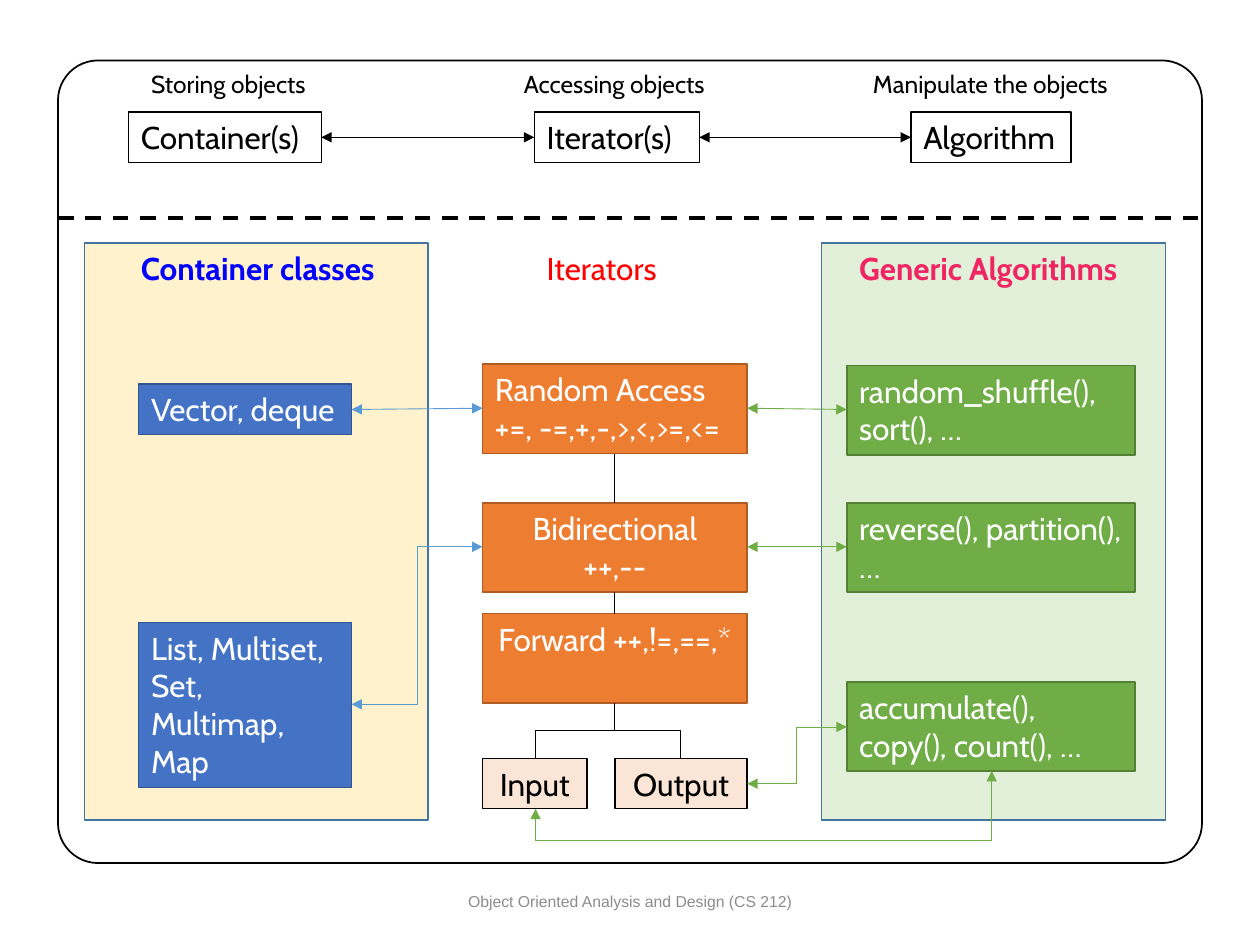
from dataclasses import dataclass

from lxml.etree import SubElement
from pptx import Presentation
from pptx.dml.color import RGBColor
from pptx.enum.dml import MSO_LINE
from pptx.enum.shapes import MSO_CONNECTOR, MSO_SHAPE
from pptx.enum.text import MSO_ANCHOR, MSO_AUTO_SIZE, PP_ALIGN
from pptx.oxml.ns import qn
from pptx.util import Inches, Pt

BLACK, WHITE, BLUE, GREEN = "000000", "FFFFFF", "5B9BD5", "70AD47"
LEFT, CENTER = PP_ALIGN.LEFT, PP_ALIGN.CENTER


@dataclass
class Style:
    fill: str | None
    line: str
    weight: float = 1
    color: str = WHITE


@dataclass
class Label:
    text: str
    left: float
    top: float
    width: float
    height: float = 0.4
    color: str = BLACK
    size: float = 18
    bold: bool = False
    align: PP_ALIGN = LEFT
    wrap: bool = False
    font: str = "Cabin"


@dataclass
class Box:
    style: Style
    left: float
    top: float
    width: float
    height: float
    lines: tuple[str, ...] = ()
    align: PP_ALIGN = LEFT
    wrap: bool = True


@dataclass
class Link:
    start: tuple[float, float]
    end: tuple[float, float]
    color: str = BLACK
    arrows: bool = True
    bent: bool = False
    vertical: bool = False
    bend: float = 0.5
    weight: float = 0.5
    dashed: bool = False


def rgb(color: str) -> RGBColor:
    return RGBColor.from_string(color)


def write(frame, lines, color, size=18, bold=False, align=LEFT, wrap=True, font="Cabin"):
    frame.word_wrap = wrap
    frame.auto_size = MSO_AUTO_SIZE.NONE if wrap else MSO_AUTO_SIZE.SHAPE_TO_FIT_TEXT
    for index, line in enumerate(lines):
        para = frame.add_paragraph() if index else frame.paragraphs[0]
        para.alignment = align
        span = para.add_run()
        span.text = line
        span.font.name = font
        span.font.size = Pt(size)
        span.font.bold = bold
        span.font.color.rgb = rgb(color)


def draw_label(page, label: Label):
    shape = page.shapes.add_textbox(
        Inches(label.left), Inches(label.top), Inches(label.width), Inches(label.height))
    write(shape.text_frame, [label.text], label.color, label.size, label.bold,
          label.align, label.wrap, label.font)
    return shape


def draw_box(page, box: Box, kind=MSO_SHAPE.RECTANGLE):
    shape = page.shapes.add_shape(
        kind, Inches(box.left), Inches(box.top), Inches(box.width), Inches(box.height))
    shape.shadow.inherit = False
    if box.style.fill:
        shape.fill.solid()
        shape.fill.fore_color.rgb = rgb(box.style.fill)
    else:
        shape.fill.background()
    shape.line.color.rgb = rgb(box.style.line)
    shape.line.width = Pt(box.style.weight)
    if box.lines:
        shape.text_frame.vertical_anchor = MSO_ANCHOR.TOP
        write(shape.text_frame, box.lines, box.style.color, align=box.align, wrap=box.wrap)
    return shape


def draw_link(page, link: Link):
    (x1, y1), (x2, y2) = link.start, link.end
    if link.vertical:
        middle_x, middle_y = (x1 + x2) / 2, (y1 + y2) / 2
        half_x, half_y = (x2 - x1) / 2, (y2 - y1) / 2
        x1, x2 = middle_x - half_y, middle_x + half_y
        y1, y2 = middle_y + half_x, middle_y - half_x
    kind = MSO_CONNECTOR.ELBOW if link.bent else MSO_CONNECTOR.STRAIGHT
    line = page.shapes.add_connector(kind, Inches(x1), Inches(y1), Inches(x2), Inches(y2))
    line.line.color.rgb = rgb(link.color)
    line.line.width = Pt(link.weight)
    if link.dashed:
        line.line.dash_style = MSO_LINE.DASH
    properties = line._element.spPr
    if link.vertical:
        properties.find(qn("a:xfrm")).set("rot", str(90 * 60000))
    if link.bent:
        guides = properties.find(qn("a:prstGeom")).find(qn("a:avLst"))
        SubElement(guides, qn("a:gd"), name="adj1", fmla=f"val {round(link.bend * 100000)}")
    if link.arrows:
        outline = properties.find(qn("a:ln"))
        for tag in ("a:headEnd", "a:tailEnd"):
            SubElement(outline, qn(tag), type="triangle")
    SubElement(properties, qn("a:effectLst"))


OUTLINE = Style(None, BLACK, 0.75, BLACK)
CONTAINER = Style("4472C4", "325491")
ITERATOR = Style("ED7D31", "AF5C24")
STREAM = Style("FBE5D6", BLACK, 0.75, BLACK)
ALGORITHM = Style(GREEN, "538035")

PANELS = [
    Box(Style("E2F0D9", "43739E"), 6.52, 1.93, 2.73, 4.58),
    Box(Style("FFF2CC", "43739E"), 0.67, 1.93, 2.73, 4.58),
]
FRAME = Box(Style(None, BLACK), 0.46, 0.48, 9.08, 6.37)
FOOTER = Label("Object Oriented Analysis and Design (CS 212)", 3.31, 6.95, 3.38,
               color="8C8C8C", size=9, align=CENTER, wrap=True, font="Arial")
LABELS = [
    Label("Container classes", 1.02, 1.93, 2.07, color="0000FF", bold=True),
    Label("Iterators", 4.24, 1.93, 1.15, color="FF0000"),
    Label("Generic Algorithms", 6.72, 1.93, 2.29, color="EF2564", bold=True),
    Label("Storing objects", 1.1, 0.5, 1.45, 0.34, size=14),
    Label("Accessing objects", 4.06, 0.5, 1.67, 0.34, size=14),
    Label("Manipulate the objects", 6.83, 0.5, 2.11, 0.34, size=14),
]
BOXES = [
    Box(OUTLINE, 1.02, 0.89, 1.53, 0.4, ("Container(s)",), wrap=False),
    Box(OUTLINE, 4.24, 0.89, 1.31, 0.4, ("Iterator(s)",), wrap=False),
    Box(OUTLINE, 7.23, 0.89, 1.27, 0.4, ("Algorithm",), wrap=False),
    Box(CONTAINER, 1.1, 3.05, 1.69, 0.4, ("Vector, deque",), wrap=False),
    Box(CONTAINER, 1.1, 4.94, 1.69, 1.31, ("List, Multiset, Set, Multimap, Map",)),
    Box(ITERATOR, 3.83, 2.89, 2.1, 0.71, ("Random Access", "+=, -=,+,-,>,<,>=,<=")),
    Box(ITERATOR, 3.83, 3.99, 2.1, 0.71, ("Bidirectional", "++,--"), CENTER),
    Box(ITERATOR, 3.83, 4.87, 2.1, 0.71, ("Forward ++,!=,==,*",), CENTER),
    Box(STREAM, 3.83, 6.02, 0.83, 0.4, ("Input",), CENTER),
    Box(STREAM, 4.88, 6.02, 1.05, 0.4, ("Output",), CENTER),
    Box(ALGORITHM, 6.72, 2.9, 2.29, 0.71, ("random_shuffle(), sort(), …",)),
    Box(ALGORITHM, 6.72, 3.99, 2.29, 0.71, ("reverse(), partition(), …",)),
    Box(ALGORITHM, 6.72, 5.41, 2.29, 0.71, ("accumulate(), copy(), count(), …",)),
]
LINKS = [
    Link((0.46, 1.73), (9.54, 1.73), arrows=False, weight=2.25, dashed=True),
    Link((2.55, 1.09), (4.24, 1.09)),
    Link((5.55, 1.09), (7.23, 1.09)),
    Link((2.79, 3.25), (3.83, 3.24), BLUE),
    Link((2.79, 5.59), (3.83, 4.34), BLUE, bent=True),
    Link((4.88, 3.6), (4.88, 3.99), arrows=False),
    Link((4.88, 4.7), (4.88, 4.87), arrows=False),
    Link((4.88, 5.58), (4.25, 6.02), arrows=False, bent=True, vertical=True),
    Link((4.88, 5.58), (5.4, 6.02), arrows=False, bent=True, vertical=True),
    Link((4.25, 6.42), (7.87, 6.12), GREEN, bent=True, vertical=True, bend=-0.83),
    Link((5.93, 4.34), (6.72, 4.34), GREEN),
    Link((5.93, 3.24), (6.72, 3.25), GREEN),
    Link((5.93, 6.22), (6.72, 5.77), GREEN, bent=True),
]


def main():
    deck = Presentation()
    deck.slide_width, deck.slide_height = Inches(10), Inches(7.5)
    page = deck.slides.add_slide(deck.slide_layouts[6])
    for panel in PANELS:
        draw_box(page, panel)
    draw_label(page, FOOTER).text_frame.vertical_anchor = MSO_ANCHOR.MIDDLE
    draw_box(page, FRAME, MSO_SHAPE.ROUNDED_RECTANGLE).adjustments[0] = 0.05
    for box in BOXES:
        draw_box(page, box)
    for label in LABELS:
        draw_label(page, label)
    for link in LINKS:
        draw_link(page, link)
    deck.save("out.pptx")


if __name__ == "__main__":
    main()
